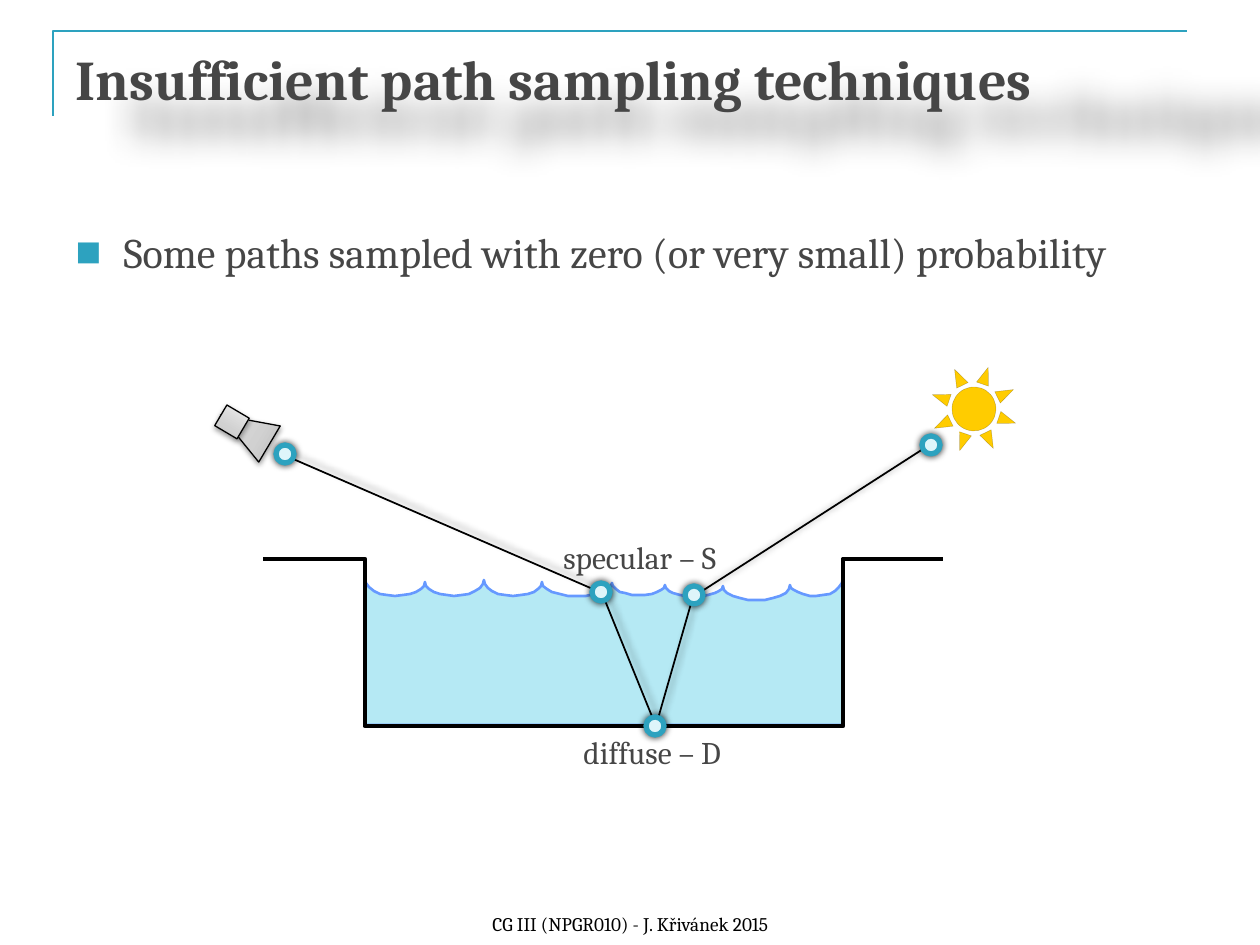
import copy
import math
from dataclasses import dataclass

import lxml.etree
import pptx
import pptx.dml.color
import pptx.enum.shapes
import pptx.enum.text
import pptx.oxml.ns
import pptx.util

PX = 914400 / 126
FONT = "Cambria"
GREY, TEAL, BLACK = "464646", "2DA2BF", "000000"
SHAPE = pptx.enum.shapes.MSO_SHAPE
ALIGN = pptx.enum.text.PP_ALIGN
ANCHOR = pptx.enum.text.MSO_ANCHOR
qn = pptx.oxml.ns.qn


@dataclass
class Shadow:
    """An outer shadow: opacity and width in percent, lengths in points."""
    alpha: int
    blur: float
    distance: float
    angle: int
    width: int = 100


@dataclass
class Label:
    """A text box on the page."""
    text: str
    box: tuple[int, int, int, int]
    size: int = 18
    color: str = GREY
    align: ALIGN = ALIGN.LEFT
    anchor: ANCHOR = ANCHOR.TOP
    wrap: bool = False


@dataclass
class Scallop:
    """One hollow of the water surface, from its left cusp to its lowest level."""
    left: int
    cusp: int
    trough: int


TITLE_SHADOW = Shadow(45, 20, 28, 45, 125)
CAMERA_SHADOW = Shadow(38, 3.1, 1.6, 90)
PATH_SHADOW = Shadow(40, 4, 3, 315)
NODE_SHADOW = Shadow(80, 4, 0, 129)
METAL = [(0, "BDBDBD"), (0.35, "D1D1D1"), (1, "EEEEEE")]

FRAME = [(53, 116), (53, 31), (1187, 31)]
BASIN = [(943, 559), (843, 559), (843, 726), (365, 726), (365, 559), (263, 559)]
LIGHT_PATH = [(277, 452), (602, 593), (656, 726), (693, 597), (934, 442)]
NODES = [(655, 726), (694, 595), (601, 592), (931, 445), (285, 454)]
NODE_SIZE = 18
WATER_FLOOR = 725
WATER_END = (843, 578)
SCALLOPS = [
    Scallop(365, 578, 596), Scallop(425, 582, 596), Scallop(484, 580, 596),
    Scallop(542, 582, 596), Scallop(612, 583, 595), Scallop(665, 585, 596),
    Scallop(723, 586, 600), Scallop(790, 585, 596),
]
FOOTER = Label("CG III (NPGR010) - J. Křivánek 2015", (194, 879, 873, 63), 11, BLACK,
               ALIGN.CENTER, ANCHOR.BOTTOM, True)
DIFFUSE = Label("diffuse – D", (571, 727, 181, 50))
SPECULAR = Label("specular – S", (551, 532, 198, 50))


def emu(*lengths: int) -> list[int]:
    """Turn px lengths into EMU."""
    return [round(length * PX) for length in lengths]


def rgb(color: str) -> pptx.dml.color.RGBColor:
    """Turn a hex string into a colour."""
    return pptx.dml.color.RGBColor.from_string(color)


def add_shadow(shape, shadow: Shadow) -> None:
    """Give a shape an outer shadow."""
    shape.shadow.inherit = False
    effects = shape._element.spPr.find(qn("a:effectLst"))
    outer = lxml.etree.SubElement(
        effects, qn("a:outerShdw"), blurRad=str(pptx.util.Pt(shadow.blur)),
        dist=str(pptx.util.Pt(shadow.distance)), dir=str(shadow.angle * 60000),
        sx=str(shadow.width * 1000), algn="tl", rotWithShape="0")
    tint = lxml.etree.SubElement(outer, qn("a:srgbClr"), val=BLACK)
    lxml.etree.SubElement(tint, qn("a:alpha"), val=str(shadow.alpha * 1000))


def format_shape(shape, line: str, width: float, fill: str | None = None,
                 shadow: Shadow | None = None) -> None:
    """Set outline, fill and shadow."""
    shape.line.color.rgb = rgb(line)
    shape.line.width = pptx.util.Pt(width)
    if fill:
        shape.fill.solid()
        shape.fill.fore_color.rgb = rgb(fill)
    else:
        shape.fill.background()
    shape.shadow.inherit = False
    if shadow:
        add_shadow(shape, shadow)


def add_outline(shapes, points: list, line: str, width: float, fill: str | None = None,
                shadow: Shadow | None = None) -> None:
    """Draw a freeform through points, closed when filled."""
    builder = shapes.build_freeform(*points[0], scale=PX)
    builder.add_line_segments(points[1:], close=fill is not None)
    format_shape(builder.convert_to_shape(), line, width, fill, shadow)


def write_text(frame, text: str, *, size: int, color: str = GREY, bold: bool = False,
               align: ALIGN = ALIGN.LEFT, anchor: ANCHOR = ANCHOR.TOP,
               wrap: bool = True, bullet: str | None = None) -> None:
    """Write one formatted paragraph into a text frame."""
    frame.word_wrap = wrap
    frame.auto_size = pptx.enum.text.MSO_AUTO_SIZE.NONE
    frame.vertical_anchor = anchor
    para = frame.paragraphs[0]
    para.alignment = align
    para.space_before = pptx.util.Pt(0)
    if bullet:
        props = para._p.get_or_add_pPr()
        indent = emu(48)[0]
        props.set("marL", str(indent))
        props.set("indent", str(-indent))
        tint = lxml.etree.SubElement(props, qn("a:buClr"))
        lxml.etree.SubElement(tint, qn("a:srgbClr"), val=TEAL)
        lxml.etree.SubElement(props, qn("a:buSzPct"), val="65000")
        lxml.etree.SubElement(props, qn("a:buFont"), typeface=FONT)
        lxml.etree.SubElement(props, qn("a:buChar"), char=bullet)
    span = para.add_run()
    span.text = text
    span.font.name = FONT
    span.font.size = pptx.util.Pt(size)
    span.font.bold = bold
    span.font.color.rgb = rgb(color)


def add_label(page, label: Label) -> None:
    """Add a text box."""
    box = page.shapes.add_textbox(*emu(*label.box))
    write_text(box.text_frame, label.text, size=label.size, color=label.color,
               align=label.align, anchor=label.anchor, wrap=label.wrap)


def place(shape, left: int, top: int, width: int, height: int) -> None:
    """Move and size a placeholder."""
    shape.left, shape.top, shape.width, shape.height = emu(left, top, width, height)


def add_sun(page) -> None:
    """Draw the light source."""
    sun = page.shapes.add_shape(SHAPE.SUN, *emu(930, 365, 88, 88))
    sun.rotation = 18.9
    format_shape(sun, BLACK, 0.25, "FFCC00")
    tint = sun.line._ln.find(".//" + qn("a:srgbClr"))
    lxml.etree.SubElement(tint, qn("a:alpha"), val="24000")


def add_camera(page) -> None:
    """Draw the camera from a lens cone and a body."""
    camera = page.shapes.add_group_shape()
    for kind, box, turn in ((SHAPE.ISOSCELES_TRIANGLE, (224, 401, 42, 57), 300.7),
                            (SHAPE.RECTANGLE, (219, 410, 26, 24), 30.6)):
        part = camera.shapes.add_shape(kind, *emu(*box))
        part.rotation = turn
        format_shape(part, BLACK, 0.75, shadow=CAMERA_SHADOW)
        part.fill.gradient()
        part.fill.gradient_angle = 90
        stops = part._element.spPr.find(".//" + qn("a:gsLst"))
        stops.insert(1, copy.deepcopy(stops[0]))
        for stop, (position, color) in zip(part.fill.gradient_stops, METAL):
            stop.position = position
            stop.color.rgb = rgb(color)


def water_outline(steps: int = 12) -> list:
    """Trace half-ellipse scallops along the surface, then the floor."""
    ends = [(item.left, item.cusp) for item in SCALLOPS[1:]] + [WATER_END]
    points = []
    for item, (right, cusp) in zip(SCALLOPS, ends):
        for step in range(steps):
            angle = math.pi * step / steps
            part = (1 - math.cos(angle)) / 2
            level = item.cusp + (cusp - item.cusp) * part
            points.append((item.left + (right - item.left) * part,
                           level + (item.trough - level) * math.sin(angle)))
    return points + [WATER_END, (WATER_END[0], WATER_FLOOR), (SCALLOPS[0].left, WATER_FLOOR)]


def main() -> None:
    """Build the slide."""
    deck = pptx.Presentation()
    deck.slide_width, deck.slide_height = emu(1260, 945)
    page = deck.slides.add_slide(deck.slide_layouts[1])
    title, body = page.placeholders
    place(title, 63, 38, 1134, 158)
    write_text(title.text_frame, "Insufficient path sampling techniques", size=32, bold=True)
    add_shadow(title, TITLE_SHADOW)
    place(body, 63, 220, 1134, 624)
    write_text(body.text_frame, "Some paths sampled with zero (or very small) probability",
               size=24, bullet="■")

    add_outline(page.shapes, FRAME, TEAL, 1.5)
    add_sun(page)
    add_camera(page)
    pool = page.shapes.add_group_shape()
    add_outline(pool.shapes, water_outline(), "6699FF", 1.5, "B5E9F4")
    add_outline(pool.shapes, BASIN, BLACK, 2.75)
    add_outline(pool.shapes, LIGHT_PATH, BLACK, 1, shadow=PATH_SHADOW)
    add_label(page, FOOTER)
    add_label(page, DIFFUSE)
    for x, y in NODES:
        node = page.shapes.add_shape(SHAPE.OVAL, *emu(
            x - NODE_SIZE // 2, y - NODE_SIZE // 2, NODE_SIZE, NODE_SIZE))
        format_shape(node, TEAL, 3, "DEF5FA", NODE_SHADOW)
    add_label(page, SPECULAR)
    deck.save("out.pptx")


if __name__ == "__main__":
    main()
